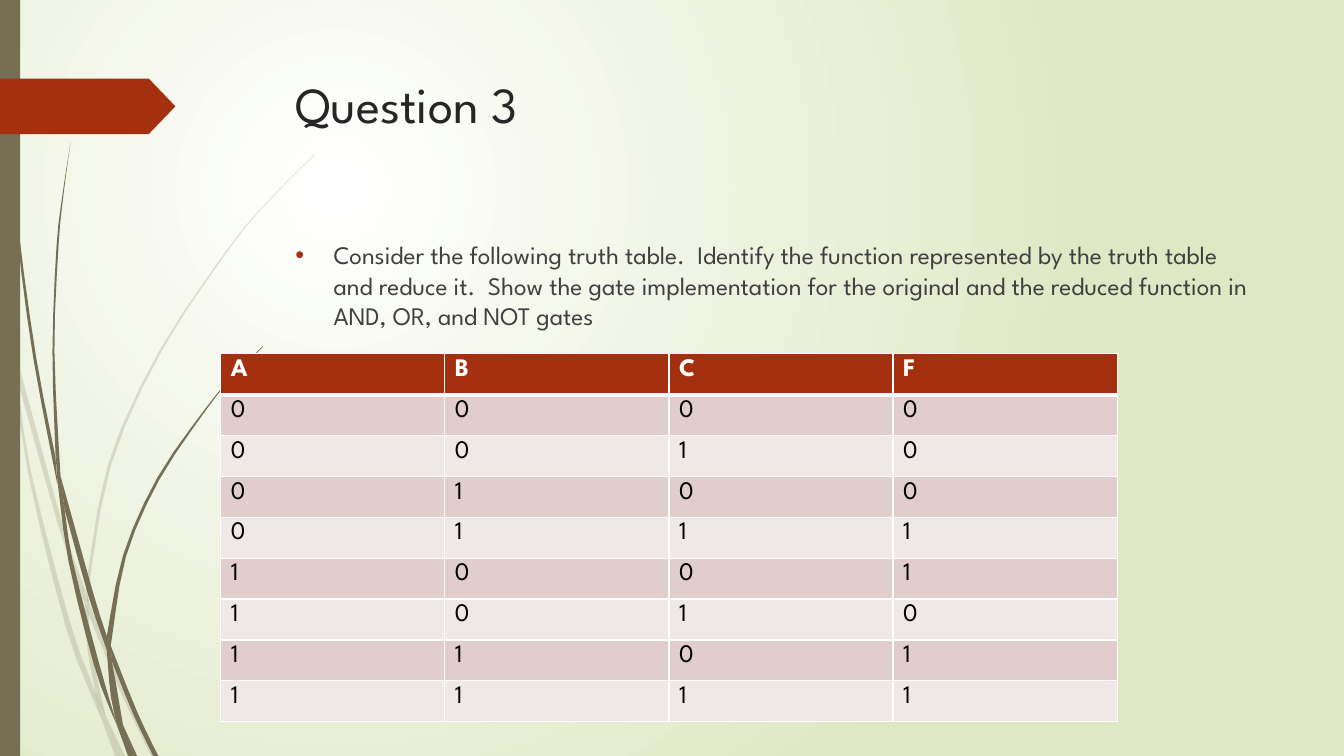
from lxml import etree
from itertools import product

from pptx import Presentation
from pptx.dml.color import RGBColor
from pptx.enum.shapes import MSO_SHAPE as SHAPE
from pptx.enum.text import MSO_ANCHOR as ANCHOR, MSO_AUTO_SIZE as AUTO_SIZE, PP_ALIGN as ALIGN
from pptx.oxml import parse_xml
from pptx.oxml.ns import nsdecls, qn
from pptx.util import Inches, Pt

FONT = "League Spartan"
OLIVE = RGBColor(0x76, 0x6F, 0x54)
RUST = RGBColor(0xA5, 0x30, 0x10)
TITLE_GREY = RGBColor(0x26, 0x26, 0x26)
BODY_GREY = RGBColor(0x40, 0x40, 0x40)
BLACK = RGBColor(0, 0, 0)
WHITE = RGBColor(0xFF, 0xFF, 0xFF)
BANDS = [RGBColor(0xE1, 0xCD, 0xCC), RGBColor(0xF0, 0xE8, 0xE7)]
STEPS = 3

# Each blade of grass is a pair of edges, one drawn after the other around the outline
FAINT_BLADES = [
    ([(0, 2.82), (0.09, 3.22), (0.11, 3.5)], [(0.1, 3.44), (0, 2.99)]),
    ([(0.14, 3.45), (0.62, 5.2), (0.85, 5.86)],
     [(0.84, 5.99), (0.58, 5.22), (0.17, 3.76)]),
    ([(0.88, 5.96), (0.92, 6.07), (1.27, 6.92), (1.55, 7.5)],
     [(1.5, 7.5), (1.23, 6.94), (0.88, 6.1)]),
    ([(1.05, 7.11), (1.24, 7.5)], [(1.19, 7.5)]),
    ([(0.11, 3.5), (0.17, 3.76), (0.31, 4.69), (0.7, 6.19), (0.93, 6.83), (1.01, 7.14)],
     [(0.92, 6.93), (0.65, 6.21), (0.28, 4.7), (0.11, 3.5)]),
    ([(0.84, 5.99), (0.88, 6.1), (0.91, 6.46), (1.05, 7.11)],
     [(0.96, 6.92), (0.87, 6.46), (0.84, 5.99)]),
    ([(3.12, 1.53), (2.68, 1.97), (2.28, 2.44), (1.58, 3.48), (1.07, 4.61), (0.85, 5.84)],
     [(0.88, 5.96), (0.88, 5.84), (1.1, 4.62), (1.6, 3.49), (2.29, 2.45), (2.68, 1.98),
      (3.12, 1.54)]),
    ([(1.01, 7.14), (1.19, 7.5)], [(1.14, 7.5)]),
    ([(0.85, 5.86), (0.88, 5.96), (0.88, 6.1)], [(0.84, 5.99)]),
    ([(0.93, 6.83), (1.05, 7.11), (1.19, 7.5)], [(1.01, 7.14), (0.93, 6.83)]),
]
DARK_BLADES = [
    ([(0.04, 0), (0.08, 1.09), (0.19, 2.32), (0.36, 3.55), (0.55, 4.53)],
     [(0.57, 4.81), (0.33, 3.55), (0.17, 2.33), (0.07, 1.1), (0.03, 0)]),
    ([(0.6, 4.72), (0.93, 5.9), (1.06, 6.31)], [(1.06, 6.45), (0.88, 5.92), (0.64, 5.05)]),
    ([(1.1, 6.41), (1.36, 7.06), (1.57, 7.5)], [(1.52, 7.5), (1.32, 7.08), (1.11, 6.56)]),
    ([(0.57, 4.77), (0.64, 5.05), (0.72, 5.56), (0.98, 6.57), (1.17, 7.22)],
     [(1.11, 7.08), (0.93, 6.59), (0.68, 5.57), (0.57, 4.77)]),
    ([(0.7, 1.41), (0.62, 1.93), (0.56, 2.45), (0.52, 3.49), (0.55, 4.49)],
     [(0.6, 4.72), (0.54, 3.49), (0.58, 2.45), (0.63, 1.93), (0.7, 1.41)]),
    ([(1.22, 7.19), (1.36, 7.5)], [(1.33, 7.5)]),
    ([(0.55, 4.49), (0.6, 4.72), (0.64, 5.05)], [(0.57, 4.77)]),
    ([(2.6, 3.44), (2.31, 3.73), (2.04, 4.05), (1.56, 4.74), (1.22, 5.51), (1.06, 6.31)],
     [(1.1, 6.41), (1.11, 6.33), (1.25, 5.52), (1.58, 4.76), (2.05, 4.06), (2.31, 3.74),
      (2.61, 3.44)]),
    ([(1.17, 7.22), (1.31, 7.5)], [(1.27, 7.5)]),
    ([(1.06, 6.45), (1.11, 6.56), (1.22, 7.19)], [(1.16, 7.06), (1.1, 6.91), (1.06, 6.45)]),
    ([(1.06, 6.31), (1.1, 6.41), (1.11, 6.56)], [(1.06, 6.45)]),
    ([(1.1, 6.91), (1.22, 7.19), (1.33, 7.5)], [(1.3, 7.5), (1.17, 7.22), (1.1, 6.91)]),
]


def smooth(edge):
    """Return the edge in EMU with Catmull-Rom steps between its points."""
    padded = [edge[0], *edge, edge[-1]]
    curve = []
    for a, b, c, d in zip(padded, padded[1:], padded[2:], padded[3:]):
        for t in (i / STEPS for i in range(STEPS)):
            curve.append(tuple(Inches(
                q + t / 2 * (s - p + t * (2 * p - 5 * q + 4 * s - u + t * (3 * (q - s) + u - p))))
                for p, q, s, u in zip(a, b, c, d)))
    return curve + [tuple(map(Inches, edge[-1]))]


def add_run(p, text, size, color, bold=False):
    """Add one formatted run to a paragraph."""
    r = p.add_run()
    r.text = text
    r.font.name, r.font.size, r.font.bold = FONT, Pt(size), bold
    r.font.color.rgb = color


prs = Presentation()
prs.slide_width, prs.slide_height = Inches(13.33), Inches(7.5)
s = prs.slides.add_slide(prs.slide_layouts[5])

# Background: radial gradient centred on the upper left quarter
s.background.fill.solid()
bg_pr = s.background._cSld.bg.bgPr
bg_pr.replace(bg_pr[0], parse_xml(
    f'<a:gradFill {nsdecls("a")} rotWithShape="1"><a:gsLst>'
    '<a:gs pos="0"><a:srgbClr val="FFFFFF"/></a:gs>'
    '<a:gs pos="100000"><a:srgbClr val="DFE8C4"/></a:gs></a:gsLst>'
    '<a:path path="circle"><a:fillToRect l="50000" t="50000" r="100000" b="100000"/></a:path>'
    '</a:gradFill>'))

# Grass
for blades, alpha in ((FAINT_BLADES, 20), (DARK_BLADES, 100)):
    for first_edge, second_edge in blades:
        outline = smooth(first_edge) + smooth(second_edge)
        fb = s.shapes.build_freeform(*outline[0])
        fb.add_line_segments(outline[1:], close=True)
        sp = fb.convert_to_shape()
        sp.shadow.inherit = False
        sp.fill.solid()
        sp.fill.fore_color.rgb = OLIVE
        sp.line.fill.background()
        if alpha < 100:
            clr = sp._element.spPr.find(qn("a:solidFill"))[0]
            etree.SubElement(clr, qn("a:alpha")).set("val", str(alpha * 1000))

# Side bar and arrow tag
for kind, top, width, height, color in (
        (SHAPE.RECTANGLE, 0, 0.2, 7.5, OLIVE),
        (SHAPE.PENTAGON, 0.78, 1.74, 0.55, RUST)):
    sp = s.shapes.add_shape(kind, 0, Inches(top), Inches(width), Inches(height))
    sp.shadow.inherit = False
    sp.fill.solid()
    sp.fill.fore_color.rgb = color
    sp.line.fill.background()
    if kind == SHAPE.PENTAGON:
        sp.adjustments[0] = 0.48

# Title
title = s.shapes.title
title.left, title.top, title.width, title.height = map(Inches, (2.83, 0.68, 9.75, 1.4))
tf = title.text_frame
tf.auto_size, tf.vertical_anchor = AUTO_SIZE.NONE, ANCHOR.TOP
p = tf.paragraphs[0]
p.alignment = ALIGN.LEFT
add_run(p, "Question 3", 36, TITLE_GREY)

# Question
question = s.shapes.add_textbox(Inches(2.83), Inches(2.33), Inches(9.75), Inches(4.13))
tf = question.text_frame
tf.word_wrap = True
p = tf.paragraphs[0]
p.space_before = Pt(10)
p_pr = p._p.get_or_add_pPr()
p_pr.set("marL", str(Inches(0.38)))
p_pr.set("indent", str(-Inches(0.38)))
bullet_color = etree.SubElement(p_pr, qn("a:buClr"))
etree.SubElement(bullet_color, qn("a:srgbClr")).set("val", str(RUST))
etree.SubElement(p_pr, qn("a:buFont")).set("typeface", "Arial")
etree.SubElement(p_pr, qn("a:buChar")).set("char", "•")
add_run(p, "Consider the following truth table.  Identify the function represented by the "
           "truth table and reduce it.  Show the gate implementation for the original and "
           "the reduced function in AND, OR, and NOT gates", 18, BODY_GREY)

# Truth table, with a heavier rule under its header
rows = ["ABCF"] + [(*inputs, f) for inputs, f in zip(product("01", repeat=3), "00011011")]
table = s.shapes.add_table(len(rows), 4, Inches(2.19), Inches(3.51),
                           Inches(8.89), Inches(3.65)).table
for i, row in enumerate(rows):
    for j, text in enumerate(row):
        cell = table.cell(i, j)
        tc_pr = cell._tc.get_or_add_tcPr()
        for side in "LRTB":
            width = 3 if (i, side) in ((0, "B"), (1, "T")) else 1
            ln = etree.SubElement(tc_pr, qn(f"a:ln{side}"), w=str(Pt(width)))
            fill = etree.SubElement(ln, qn("a:solidFill"))
            etree.SubElement(fill, qn("a:srgbClr"), val=str(WHITE))
        cell.fill.solid()
        cell.fill.fore_color.rgb = BANDS[(i - 1) % 2] if i else RUST
        add_run(cell.text_frame.paragraphs[0], text, 18, BLACK if i else WHITE, bold=i == 0)

prs.save("out.pptx")
